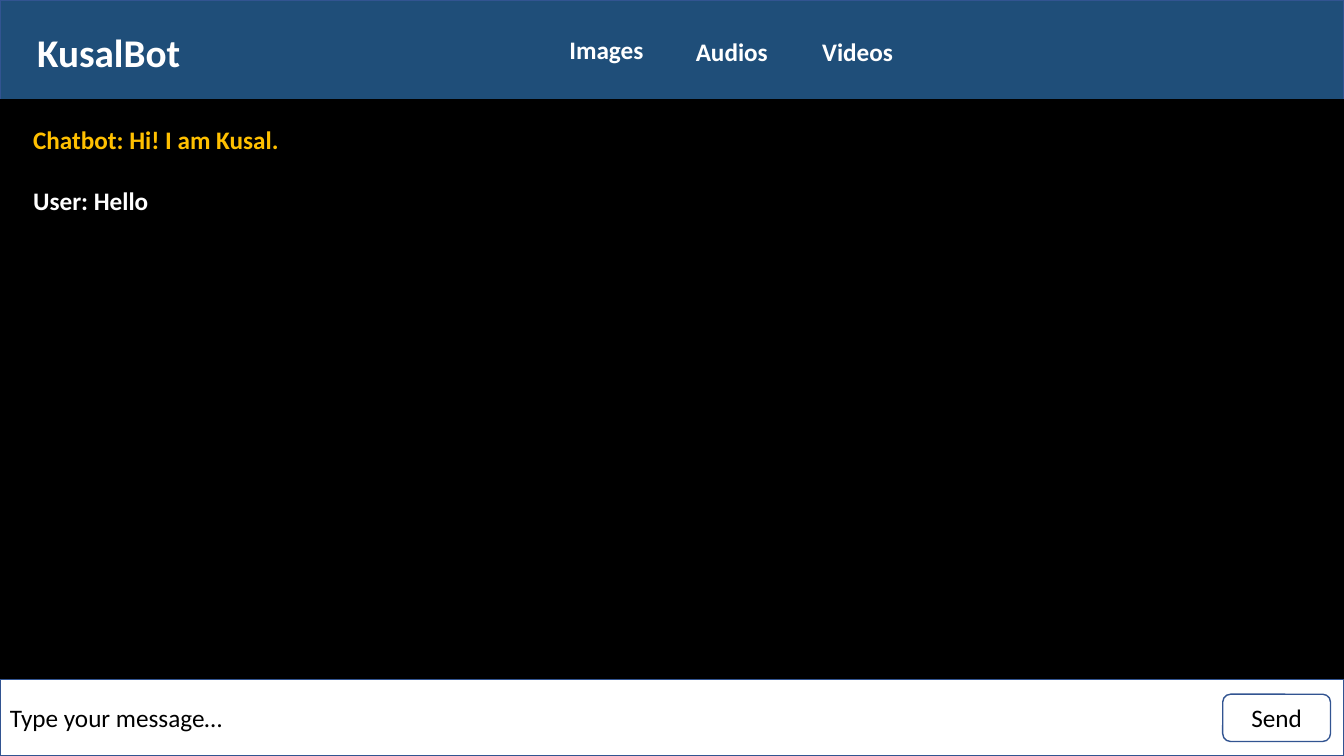
from dataclasses import dataclass

from pptx import Presentation
from pptx import util as u
from pptx.dml import color
from pptx.enum import shapes, text


@dataclass(frozen=True)
class Theme:
    font: str = "Calibri"
    title_size: int = 28
    body_size: int = 18
    header: str = "1F4E79"
    border: str = "325491"
    dark: str = "000000"
    light: str = "FFFFFF"
    bot: str = "FFC000"


@dataclass(frozen=True)
class Box:
    left: float
    top: float
    width: float
    height: float

    def inner(self, left, top, width, height):
        return Box(self.left + left, self.top + top, width, height)

    def lengths(self):
        return [u.Pt(value) for value in (self.left, self.top, self.width, self.height)]


THEME = Theme()
SLIDE_WIDTH, SLIDE_HEIGHT = 960, 540
HEADER_HEIGHT, INPUT_HEIGHT = 71.3, 54.7


def add_run(paragraph, words, ink, size=THEME.body_size, bold=False):
    run = paragraph.add_run()
    run.text = words
    run.font.name = THEME.font
    run.font.size = u.Pt(size)
    run.font.bold = bold
    run.font.color.rgb = color.RGBColor.from_string(ink)


def add_panel(slide, box, fill, line, kind=shapes.MSO_SHAPE.RECTANGLE):
    shape = slide.shapes.add_shape(kind, *box.lengths())
    shape.shadow.inherit = False
    shape.fill.solid()
    shape.fill.fore_color.rgb = color.RGBColor.from_string(fill)
    shape.line.color.rgb = color.RGBColor.from_string(line)
    shape.line.width = u.Pt(1)
    return shape


def write_in_panel(shape, words, alignment):
    frame = shape.text_frame
    frame.vertical_anchor = text.MSO_ANCHOR.MIDDLE
    paragraph = frame.paragraphs[0]
    paragraph.alignment = alignment
    add_run(paragraph, words, THEME.dark)


def add_label(slide, box):
    frame = slide.shapes.add_textbox(*box.lengths()).text_frame
    frame.word_wrap = True
    frame.auto_size = text.MSO_AUTO_SIZE.SHAPE_TO_FIT_TEXT
    return frame


def add_header(slide, box):
    add_panel(slide, box, THEME.header, THEME.border)
    # Bot name
    title = add_label(slide, box.inner(19.4, 16.6, 145.4, 41))
    add_run(title.paragraphs[0], "KusalBot", THEME.light, THEME.title_size, bold=True)
    # Navigation: equal steps, the first item slightly higher
    menu = [("Images", 20.9), ("Audios", 22.3), ("Videos", 22.3)]
    for index, (name, top) in enumerate(menu):
        item = add_label(slide, box.inner(399.6 + index * 90.3, top, 69.8, 28.8))
        add_run(item.paragraphs[0], name, THEME.light, bold=True)


def add_conversation(slide, box):
    add_panel(slide, box, THEME.dark, THEME.dark)
    # Messages, one line apart
    frame = add_label(slide, box.inner(16.6, 13.7, 400.3, 72.7))
    add_run(frame.paragraphs[0], "Chatbot: Hi! I am Kusal.", THEME.bot, bold=True)
    reply = frame.add_paragraph()
    reply.space_before = u.Pt(22)
    add_run(reply, "User: Hello", THEME.light, bold=True)


def add_input_bar(slide, box):
    field = add_panel(slide, box, THEME.light, THEME.border)
    write_in_panel(field, "Type your message…", text.PP_ALIGN.LEFT)
    # Send button
    button = add_panel(slide, box.inner(box.width - 86.6, 10.6, 77, 33.8),
                       THEME.light, THEME.border, shapes.MSO_SHAPE.ROUNDED_RECTANGLE)
    write_in_panel(button, "Send", text.PP_ALIGN.CENTER)


def main():
    presentation = Presentation()
    presentation.slide_width = u.Pt(SLIDE_WIDTH)
    presentation.slide_height = u.Pt(SLIDE_HEIGHT)
    slide = presentation.slides.add_slide(presentation.slide_layouts[6])

    input_top = SLIDE_HEIGHT - INPUT_HEIGHT
    add_header(slide, Box(0, 0, SLIDE_WIDTH, HEADER_HEIGHT))
    add_conversation(slide, Box(0, HEADER_HEIGHT, SLIDE_WIDTH, input_top - HEADER_HEIGHT))
    add_input_bar(slide, Box(0, input_top, SLIDE_WIDTH, INPUT_HEIGHT))
    presentation.save("out.pptx")


if __name__ == "__main__":
    main()
